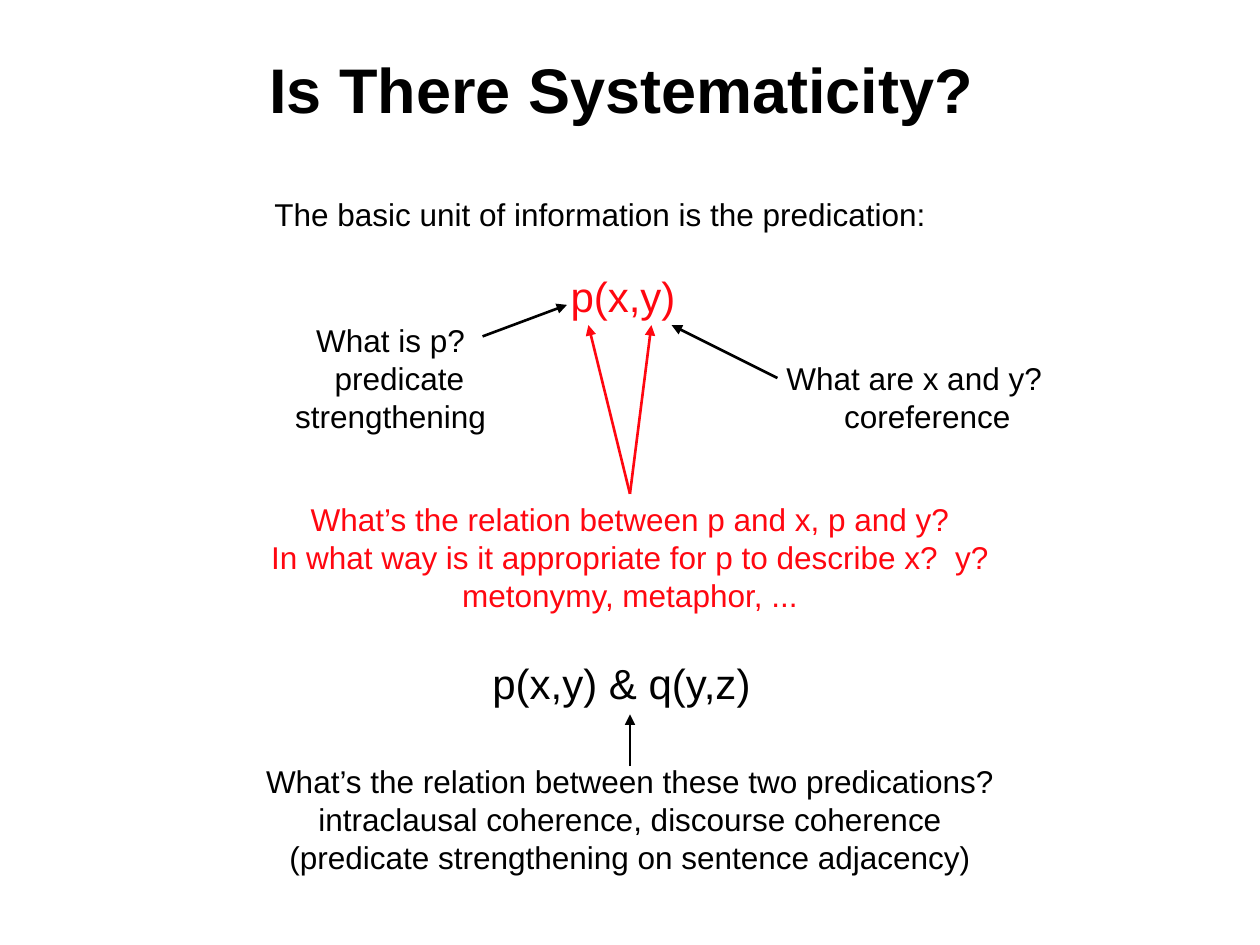
from lxml.etree import SubElement
from pptx import Presentation
from pptx.dml.color import RGBColor
from pptx.enum.shapes import MSO_CONNECTOR
from pptx.enum.text import MSO_ANCHOR, PP_ALIGN
from pptx.oxml.ns import qn
from pptx.util import Inches, Pt

BLACK, RED = "000000", "FF0710"
BODY = {"name": "Arial", "size": Pt(18)}
FORMULA = {"name": "Arial", "size": Pt(24)}
TITLE = {"name": "Arial", "size": Pt(36), "bold": True}


def colour(hex_text):
    return RGBColor.from_string(hex_text)


def style(span, formats, hex_text):
    for name, value in formats.items():
        setattr(span.font, name, value)
    span.font.color.rgb = colour(hex_text)


def add_para(frame, text, formats=BODY, hex_text=BLACK, align=PP_ALIGN.CENTER,
             indent=0, before=0):
    """Fill the first empty paragraph, or append one."""
    para = frame.paragraphs[0] if not frame.text else frame.add_paragraph()
    para.alignment = align
    para.space_before = Pt(before)
    if indent:
        para._p.get_or_add_pPr().set("marL", str(Inches(indent)))
    span = para.add_run()
    span.text = text
    style(span, formats, hex_text)


def add_box(page, left, top, width, height):
    box = page.shapes.add_textbox(*map(Inches, (left, top, width, height)))
    box.text_frame.word_wrap = False
    return box


def add_title(page, text, left, top, width, height):
    title = page.shapes.title
    title.left, title.top, title.width, title.height = map(
        Inches, (left, top, width, height))
    title.text_frame.vertical_anchor = MSO_ANCHOR.MIDDLE
    add_para(title.text_frame, text, TITLE)


def add_predication(page, *place):
    """Opening sentence with the formula below it."""
    frame = add_box(page, *place).text_frame
    add_para(frame, "The basic unit of information is the predication:",
             align=PP_ALIGN.LEFT)
    add_para(frame, "p(x,y)", FORMULA, RED, PP_ALIGN.LEFT, indent=2.35, before=21.5)


def add_note(page, lines, *place, hex_text=BLACK, indents=(0, 0, 0)):
    """Centred lines of body text."""
    box = add_box(page, *place)
    for line, indent in zip(lines, indents):
        add_para(box.text_frame, line, hex_text=hex_text, indent=indent)
    return box


def add_arrow(page, start, end, hex_text=BLACK, source=None):
    arrow = page.shapes.add_connector(
        MSO_CONNECTOR.STRAIGHT, *map(Inches, start + end))
    if source is not None:
        arrow.begin_connect(source, 0)
    arrow.line.color.rgb = colour(hex_text)
    arrow.line.width = Pt(1.5)
    SubElement(arrow.line._get_or_add_ln(), qn("a:tailEnd"), type="triangle")
    SubElement(arrow._element.spPr, qn("a:effectLst"))


def main():
    deck = Presentation()
    deck.slide_width, deck.slide_height = Inches(10), Inches(7.5)
    page = deck.slides.add_slide(deck.slide_layouts[5])

    # Title and predication
    add_title(page, "Is There Systematicity? ", 0.75, 0.08, 8.5, 1.25)
    add_predication(page, 2.08, 1.5, 5.37, 1.1)

    # Questions about the parts of the formula
    add_note(page, ["What is p?", "predicate", "strengthening"],
             2.22, 2.5, 1.76, 1, indents=(0, 0.14, 0))
    add_note(page, ["What are x and y?", "coreference"],
             6.14, 2.8, 2.23, 0.7, indents=(0, 0.21))
    relation = add_note(
        page,
        ["What’s the relation between p and x, p and y?",
         "In what way is it appropriate for p to describe x?  y?",
         "metonymy, metaphor, ..."],
        2.05, 3.92, 5.9, 1, hex_text=RED)

    # Two predications together
    pair = add_box(page, 3.81, 5.17, 2.27, 0.5)
    add_para(pair.text_frame, "p(x,y) & q(y,z)", FORMULA, align=PP_ALIGN.LEFT)
    add_note(page,
             ["What’s the relation between these two predications?",
              "intraclausal coherence, discourse coherence",
              "(predicate strengthening on sentence adjacency)"],
             2.01, 6, 5.98, 1)

    # Arrows from the questions to the formulas
    add_arrow(page, (3.83, 2.67), (4.5, 2.42))
    add_arrow(page, (6.17, 3), (5.33, 2.58))
    for x in (4.67, 5.17):
        add_arrow(page, (5, 3.92), (x, 2.58), RED, relation)
    add_arrow(page, (5, 6.08), (5, 5.67))

    deck.save("out.pptx")


if __name__ == "__main__":
    main()
